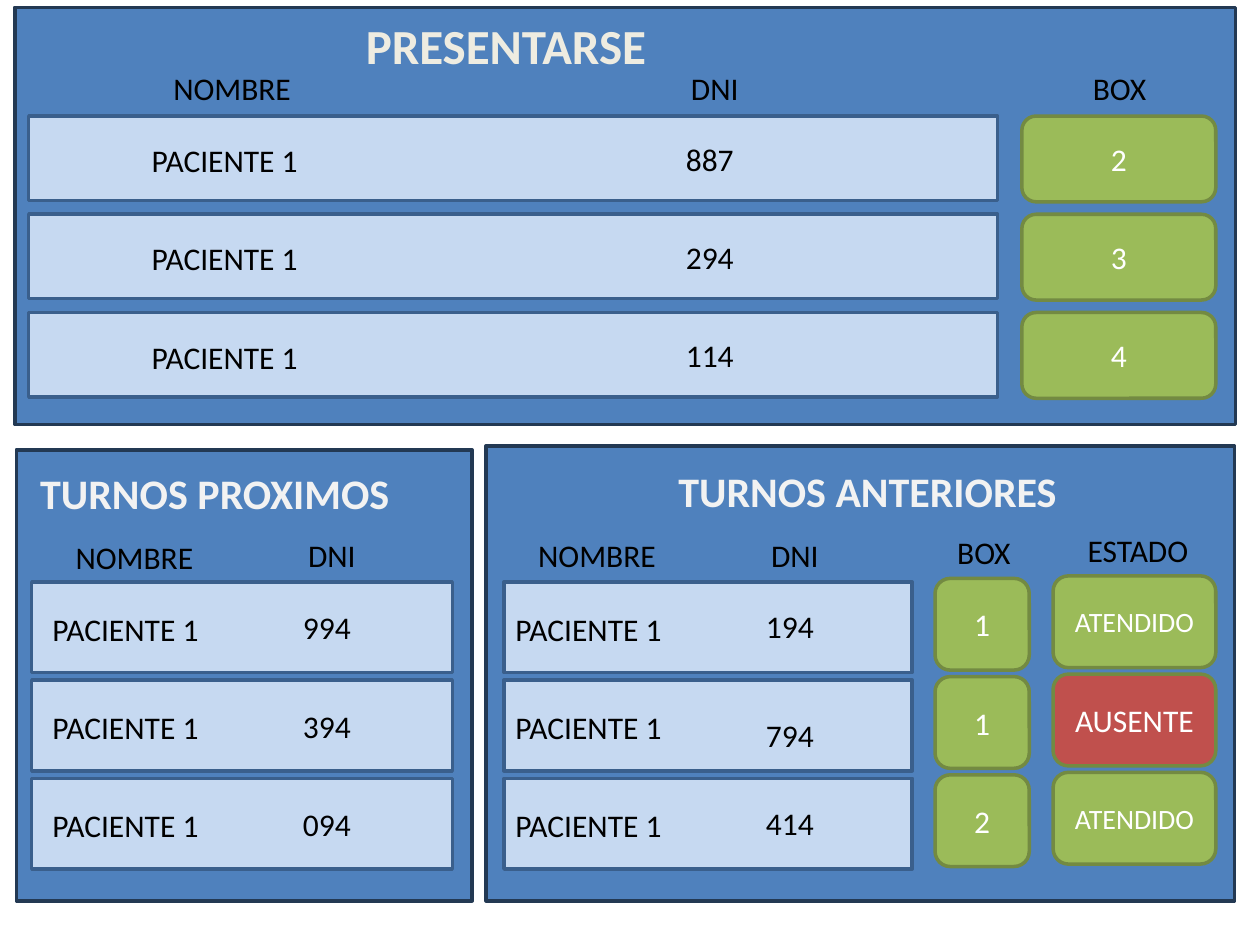
from pptx import Presentation
from pptx.util import Cm, Pt
from pptx.dml.color import RGBColor
from pptx.enum import shapes, text as t

RECT = shapes.MSO_SHAPE.RECTANGLE
ROUND = shapes.MSO_SHAPE.ROUNDED_RECTANGLE
BLUE, NAVY, PALE, STEEL = "4F81BD", "233953", "C6D9F1", "3A5F8C"
GREEN, OLIVE, RED = "9BBB59", "738A42", "C0504D"
STEP = 1.98  # distance from row to row

deck = Presentation()
deck.slide_width, deck.slide_height = Cm(25.4), Cm(19.05)
slide = deck.slides.add_slide(deck.slide_layouts[5])
title = slide.shapes.title


def write(words, x, y, w, h=1.02, size=18, color="000000", bold=False,
          shape=None, anchor=t.MSO_ANCHOR.TOP):
    if shape is None:
        shape = slide.shapes.add_textbox(Cm(x), Cm(y), Cm(w), Cm(h))
    shape.left, shape.top, shape.width, shape.height = Cm(x), Cm(y), Cm(w), Cm(h)
    frame = shape.text_frame
    frame.word_wrap = True
    frame.auto_size = t.MSO_AUTO_SIZE.NONE
    frame.vertical_anchor = anchor
    frame.text = words
    para = frame.paragraphs[0]
    para.alignment = t.PP_ALIGN.CENTER
    font = para.runs[0].font
    font.name, font.size, font.bold = "Calibri", Pt(size), bold
    font.color.rgb = RGBColor.from_string(color)


def block(kind, x, y, w, h, fill, line, words="", size=18):
    shape = slide.shapes.add_shape(kind, Cm(x), Cm(y), Cm(w), Cm(h))
    shape.shadow.inherit = False
    shape.fill.solid()
    shape.fill.fore_color.rgb = RGBColor.from_string(fill)
    shape.line.color.rgb = RGBColor.from_string(line)
    shape.line.width = Pt(2)
    if words:
        write(words, x, y, w, h, size=size, color="FFFFFF", shape=shape,
              anchor=t.MSO_ANCHOR.MIDDLE)


# Each panel: frame, first bar, column heads, cell columns and badge columns
panels = [
    dict(frame=(0.3, 0.15, 24.61, 8.41), bar=(0.58, 2.34, 19.53, 1.7),
         heads=[("NOMBRE", 0.58, 1.27, 8.2), ("DNI", 10.31, 1.27, 8.2),
                ("BOX", 19.77, 1.27, 5.6)],
         cells=[(0.43, 2.72, 8.2, ["PACIENTE 1"] * 3),
                (10.21, 2.69, 8.2, ["887", "294", "114"])],
         badges=[(20.6, 2.34, 3.91, 1.73, ["2", "3", "4"])]),
    dict(frame=(0.33, 9.07, 9.19, 9.09), bar=(0.64, 11.73, 8.48, 1.83),
         heads=[("NOMBRE", 0.64, 10.72, 4.14), ("DNI", 4.62, 10.69, 4.14)],
         cells=[(0.46, 12.17, 4.14, ["PACIENTE 1"] * 3),
                (4.52, 12.14, 4.14, ["994", "394", "094"])],
         badges=[]),
    dict(frame=(9.8, 8.99, 15.09, 9.17), bar=(10.16, 11.73, 8.23, 1.83),
         heads=[("NOMBRE", 10.03, 10.69, 4.01), ("DNI", 14.02, 10.69, 4.01),
                ("BOX", 17.83, 10.62, 4.01), ("ESTADO", 20.54, 10.59, 4.8)],
         cells=[(9.86, 12.17, 4.01, ["PACIENTE 1"] * 3),
                (13.92, 12.12, 4.01, ["194", "794", "414"])],
         badges=[(18.85, 11.66, 1.9, 1.85, ["1", "1", "2"]),
                 (21.23, 11.61, 3.28, 1.85, ["ATENDIDO", "AUSENTE", "ATENDIDO"])]),
]

for panel in panels:
    block(RECT, *panel["frame"], BLUE, NAVY)
    x, y, w, h = panel["bar"]
    for row in range(3):
        block(RECT, x, y + row * STEP, w, h, PALE, STEEL)
    for head in panel["heads"]:
        write(*head)
    for x, y, w, words in panel["cells"]:
        for row, word in enumerate(words):
            drop = 0.2 if word == "794" else 0  # this number sits lower
            write(word, x, y + row * STEP + drop, w)
    for x, y, w, h, words in panel["badges"]:
        for row, word in enumerate(words):
            block(ROUND, x, y + row * STEP, w, h,
                  RED if word == "AUSENTE" else GREEN, OLIVE, word,
                  size=16 if word == "ATENDIDO" else 18)

# Headings, with the slide title brought in front of its panel
slide.shapes._spTree.append(title._element)
write("PRESENTARSE", 6.1, 0.18, 8.2, 1.45, size=28, color="EEECE1", bold=True,
      shape=title)
write("TURNOS PROXIMOS", 0.48, 9.3, 7.7, 1.27, size=24, color="F2F2F2", bold=True)
write("TURNOS ANTERIORES", 13.03, 9.25, 8.92, 1.27, size=24, color="F2F2F2", bold=True)

deck.save("out.pptx")
